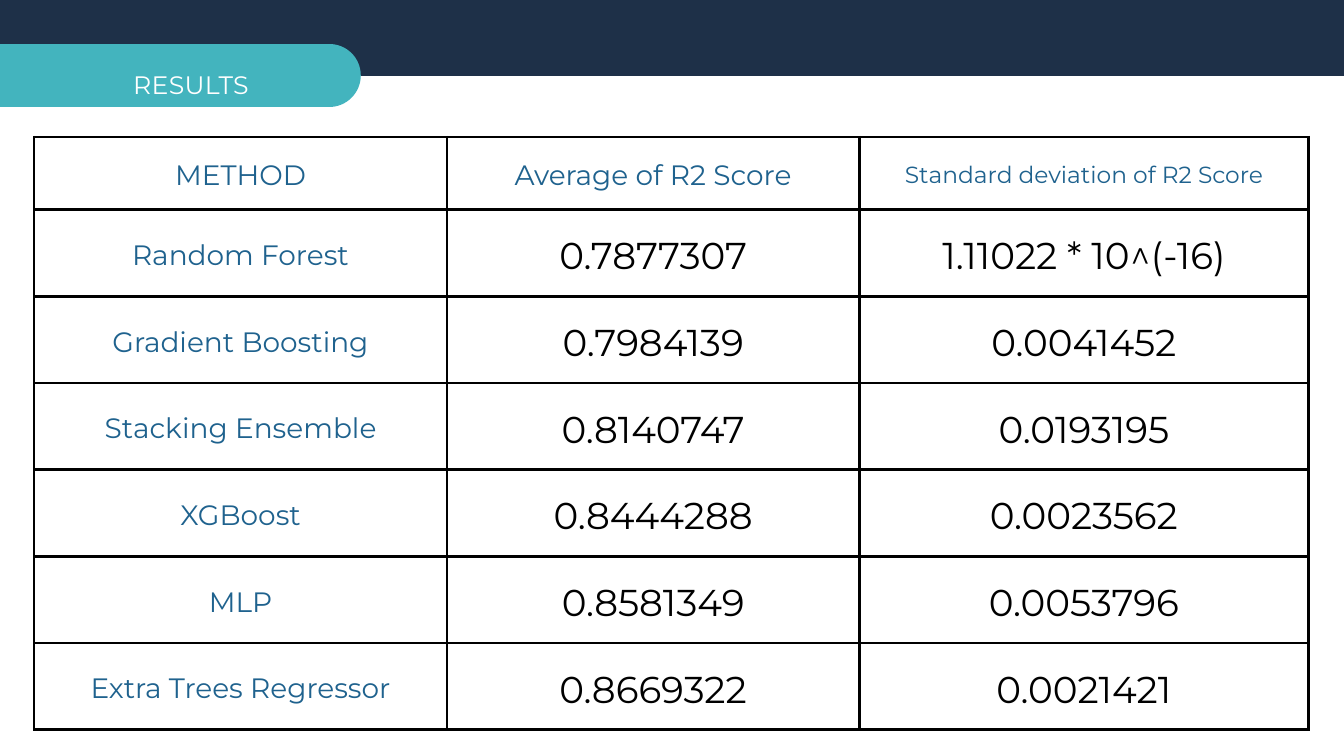
from lxml import etree
from pptx import Presentation
from pptx import util as u
from pptx.dml.color import RGBColor
from pptx.enum import shapes, text
from pptx.oxml.ns import qn

NAVY = RGBColor(0x1E, 0x30, 0x48)
TEAL = RGBColor(0x43, 0xB4, 0xBE)
BLUE = RGBColor(0x1F, 0x62, 0x8E)
BLACK = RGBColor(0, 0, 0)
WHITE = RGBColor(255, 255, 255)
FONT = "Montserrat"

TITLE = "RESULTS"
HEADERS = ["METHOD", "Average of R2 Score", "Standard deviation of R2 Score"]
HEADER_SIZES = [30, 30, 25]
RESULTS = [
    ("Random Forest", "0.7877307", "1.11022 * 10^(-16)"),
    ("Gradient Boosting", "0.7984139", "0.0041452"),
    ("Stacking Ensemble", "0.8140747", "0.0193195"),
    ("XGBoost", "0.8444288", "0.0023562"),
    ("MLP", "0.8581349", "0.0053796"),
    ("Extra Trees Regressor", "0.8669322", "0.0021421"),
]
COLUMN_WIDTHS = [614, 614, 668]
HEADER_HEIGHT, ROW_HEIGHT = 108, 129
CELL_MARGIN = 21
BORDER_WIDTH = 3


def px(length):
    return u.Emu(length * 9144)


def write(frame, content, size, color, align=text.PP_ALIGN.LEFT, margin=0, spacing=0):
    frame.word_wrap = True
    paragraph = frame.paragraphs[0]
    paragraph.alignment = align
    paragraph.line_spacing = u.Pt(size * 1.4)
    run = paragraph.add_run()
    run.text = content
    run.font.name = FONT
    run.font.size = u.Pt(size)
    run.font.color.rgb = color
    if spacing:
        run.font._element.set("spc", str(spacing))


def set_margins(target, margin):
    for side in ("left", "top", "right", "bottom"):
        setattr(target, f"margin_{side}", px(margin))


def add_borders(cell):
    properties = cell._tc.get_or_add_tcPr()
    for side in ("lnL", "lnR", "lnT", "lnB"):
        line = etree.SubElement(properties, qn(f"a:{side}"), w=str(u.Pt(BORDER_WIDTH)))
        fill = etree.SubElement(line, qn("a:solidFill"))
        etree.SubElement(fill, qn("a:srgbClr"), val=str(BLACK))


def add_header(slide):
    bar = slide.shapes.add_shape(shapes.MSO_SHAPE.RECTANGLE, px(0), px(-19), px(2000), px(132))
    bar.shadow.inherit = False
    bar.fill.solid()
    bar.fill.fore_color.rgb = NAVY
    bar.line.fill.background()

    tab = slide.shapes.add_connector(
        shapes.MSO_CONNECTOR.STRAIGHT, px(-168), px(112), px(490), px(112))
    tab.line.color.rgb = TEAL
    tab.line.width = u.Pt(67.5)
    tab.line._ln.set("cap", "rnd")
    etree.SubElement(tab._element.spPr, qn("a:effectLst"))


def add_title(slide):
    box = slide.shapes.add_textbox(px(198), px(96), px(277), px(50))
    set_margins(box.text_frame, 0)
    write(box.text_frame, TITLE, size=27, color=WHITE, spacing=40)


def add_results(slide):
    rows = [HEADERS, *RESULTS]
    heights = [HEADER_HEIGHT] + [ROW_HEIGHT] * len(RESULTS)
    table = slide.shapes.add_table(
        len(rows), len(HEADERS), px(51), px(204),
        px(sum(COLUMN_WIDTHS)), px(sum(heights))).table
    table.first_row = False
    table.horz_banding = False
    for column, width in zip(table.columns, COLUMN_WIDTHS):
        column.width = px(width)
    for i, (values, height) in enumerate(zip(rows, heights)):
        table.rows[i].height = px(height)
        for j, value in enumerate(values):
            cell = table.cell(i, j)
            set_margins(cell, CELL_MARGIN)
            cell.vertical_anchor = text.MSO_ANCHOR.MIDDLE
            add_borders(cell)
            cell.fill.background()
            is_label = i == 0 or j == 0
            size = HEADER_SIZES[j] if is_label else 40
            write(cell.text_frame, value, size=size, color=BLUE if is_label else BLACK,
                  align=text.PP_ALIGN.CENTER)


def main():
    presentation = Presentation()
    presentation.slide_width = px(2000)
    presentation.slide_height = px(1125)
    slide = presentation.slides.add_slide(presentation.slide_layouts[6])
    add_header(slide)
    add_results(slide)
    add_title(slide)
    presentation.save("out.pptx")


if __name__ == "__main__":
    main()
